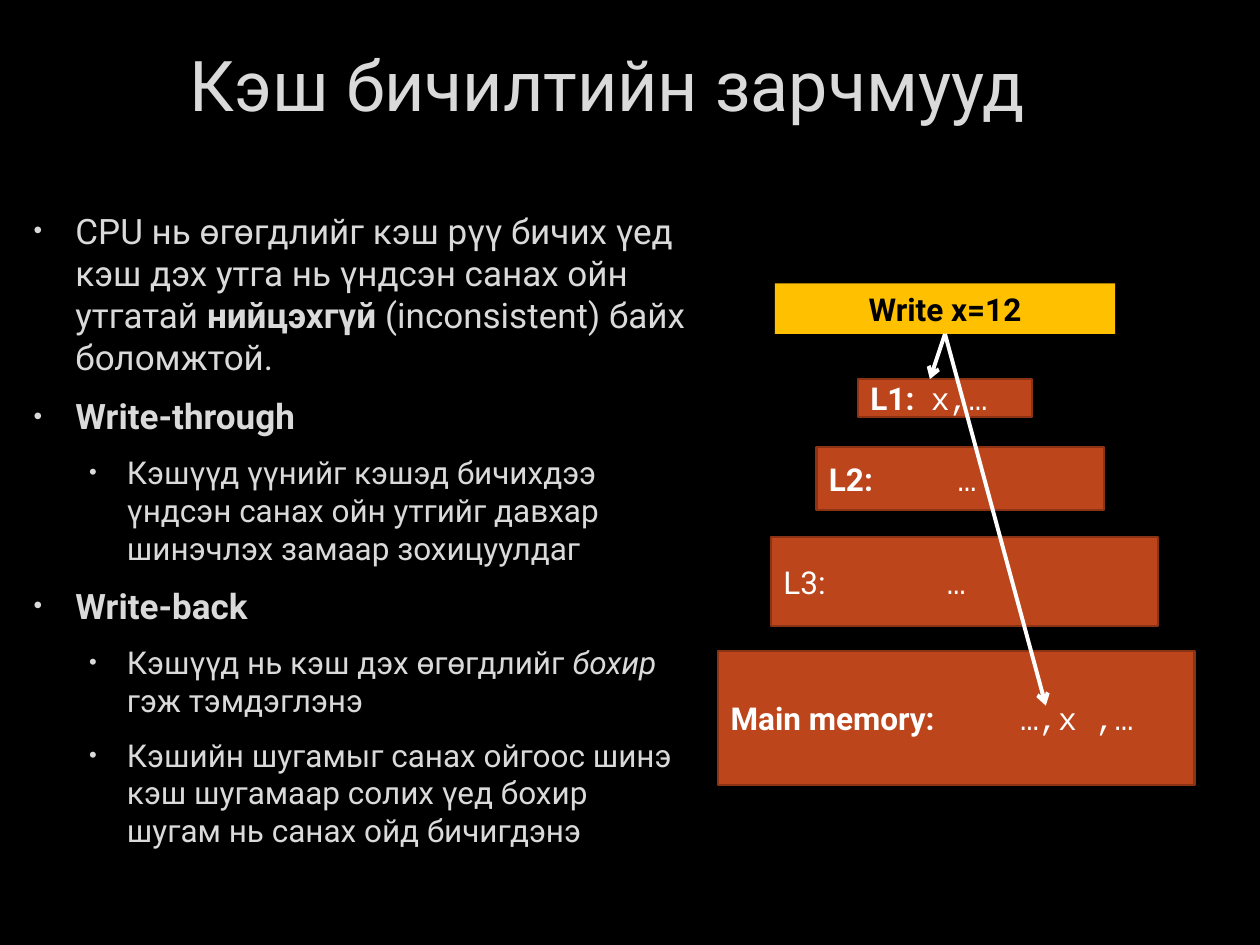
from lxml import etree
from pptx import Presentation
from pptx.dml import color
from pptx.enum import shapes, text
from pptx.oxml import ns
from pptx.util import Pt

TITLE = "Кэш бичилтийн зарчмууд"
POINTS = [
    (0, [("CPU нь өгөгдлийг кэш рүү бичих үед кэш дэх утга нь үндсэн санах ойн утгатай ", {}),
         ("нийцэхгүй ", {"bold": True}),
         ("(inconsistent) байх боломжтой.", {})]),
    (0, [("Write-through", {"bold": True})]),
    (1, [("Кэшүүд үүнийг кэшэд бичихдээ үндсэн санах ойн утгийг давхар "
          "шинэчлэх замаар зохицуулдаг", {})]),
    (0, [("Write-back", {"bold": True})]),
    (1, [("Кэшүүд нь кэш дэх өгөгдлийг ", {}),
         ("бохир", {"italic": True}),
         (" гэж тэмдэглэнэ", {})]),
    (1, [("Кэшийн шугамыг санах ойгоос шинэ кэш шугамаар солих үед бохир "
          "шугам нь санах ойд бичигдэнэ", {})]),
]
MEMORIES = [
    ("L1:", True, "x,…", 34.5, (490.3, 216.7, 99.4, 21.6)),
    ("L2:", True, "…", 73.5, (466.6, 255.6, 164.2, 36)),
    ("L3:", False, "…", 93.5, (440.6, 306.7, 221, 51.1)),
    ("Main memory:", True, "…,x ,…", 165.5, (410.4, 372.2, 272.2, 76.3)),
]
WRITE = "Write x=12"
TITLE_BOX = (10.8, 2.9, 672.5, 90)
POINTS_BOX = (8.6, 115.9, 392.4, 396.7)
WRITE_BOX = (442.8, 162, 194.4, 28.8)
ARROW_ENDS = [(597.6, 403.2), (531.4, 216.7)]
INDENTS = [(27.4, -23.8), (56.9, -21.6)]

THEME = {
    "background": "000000", "text": "DADADA", "memory": "BC451B", "edge": "8B3314",
    "write": "FFC000", "on_write": "000000", "on_memory": "FFFFFF", "arrow": "FFFFFF",
    "font": "Roboto", "code": "Courier New",
    "title_size": 40, "point_sizes": (20, 18), "label_size": 18,
}


def rgb(name):
    return color.RGBColor.from_string(THEME[name])


def add_run(paragraph, words, size, ink, font="font", **formats):
    run = paragraph.add_run()
    run.text = words
    run.font.color.rgb = rgb(ink)
    formats = {"name": THEME[font], "size": Pt(size), "bold": False, **formats}
    for key, value in formats.items():
        setattr(run.font, key, value)


def add_child(parent, tag, **attributes):
    return etree.SubElement(parent, ns.qn(tag), {k: str(v) for k, v in attributes.items()})


def add_frame(slide, box, anchor):
    frame = slide.shapes.add_textbox(*map(Pt, box)).text_frame
    frame.word_wrap = True
    frame.vertical_anchor = anchor
    return frame


def add_block(slide, box, fill, edge=None):
    block = slide.shapes.add_shape(shapes.MSO_SHAPE.RECTANGLE, *map(Pt, box))
    block.shadow.inherit = False
    block.fill.solid()
    block.fill.fore_color.rgb = rgb(fill)
    if edge:
        block.line.color.rgb = rgb(edge)
        block.line.width = Pt(1.25)
    else:
        block.line.fill.background()
    block.text_frame.vertical_anchor = text.MSO_ANCHOR.MIDDLE
    return block.text_frame.paragraphs[0]


def add_points(slide):
    frame = add_frame(slide, POINTS_BOX, text.MSO_ANCHOR.TOP)
    for index, (level, runs) in enumerate(POINTS):
        paragraph = frame.add_paragraph() if index else frame.paragraphs[0]
        size = THEME["point_sizes"][level]
        formats = {"level": level, "space_before": Pt(size * 0.2), "space_after": Pt(6)}
        for key, value in formats.items():
            setattr(paragraph, key, value)
        props = paragraph._p.get_or_add_pPr()
        margin, indent = INDENTS[level]
        props.set("marL", str(int(Pt(margin))))
        props.set("indent", str(int(Pt(indent))))
        add_child(add_child(props, "a:buClr"), "a:srgbClr", val=THEME["text"])
        add_child(props, "a:buSzPct", val=70000)
        add_child(props, "a:buFont", typeface="Arial")
        add_child(props, "a:buChar", char="•")
        for words, style in runs:
            add_run(paragraph, words, size, "text", **style)


def add_memories(slide):
    for label, bold, values, tab, box in MEMORIES:
        paragraph = add_block(slide, box, "memory", "edge")
        paragraph.alignment = text.PP_ALIGN.LEFT
        tabs = add_child(paragraph._p.get_or_add_pPr(), "a:tabLst")
        add_child(tabs, "a:tab", pos=int(Pt(tab)), algn="l")
        add_run(paragraph, label + "\t", THEME["label_size"], "on_memory", bold=bold)
        add_run(paragraph, values, THEME["label_size"], "on_memory", "code")


def add_arrows(slide):
    left, top, width, height = WRITE_BOX
    start = (left + width / 2, top + height)
    for end in ARROW_ENDS:
        arrow = slide.shapes.add_connector(shapes.MSO_CONNECTOR.STRAIGHT, *map(Pt, start + end))
        arrow.line.color.rgb = rgb("arrow")
        arrow.line.width = Pt(2.25)
        add_child(arrow.line._get_or_add_ln(), "a:tailEnd", type="arrow")
        add_child(arrow._element.spPr, "a:effectLst")


def main():
    deck = Presentation()
    deck.slide_width, deck.slide_height = Pt(720), Pt(540)
    slide = deck.slides.add_slide(deck.slide_layouts[6])
    slide.background.fill.solid()
    slide.background.fill.fore_color.rgb = rgb("background")

    heading = add_frame(slide, TITLE_BOX, text.MSO_ANCHOR.MIDDLE).paragraphs[0]
    heading.alignment = text.PP_ALIGN.CENTER
    add_run(heading, TITLE, THEME["title_size"], "text")
    add_points(slide)
    add_memories(slide)
    write = add_block(slide, WRITE_BOX, "write")
    write.alignment = text.PP_ALIGN.CENTER
    add_run(write, WRITE, THEME["label_size"], "on_write", bold=True)
    add_arrows(slide)
    deck.save("out.pptx")


if __name__ == "__main__":
    main()
